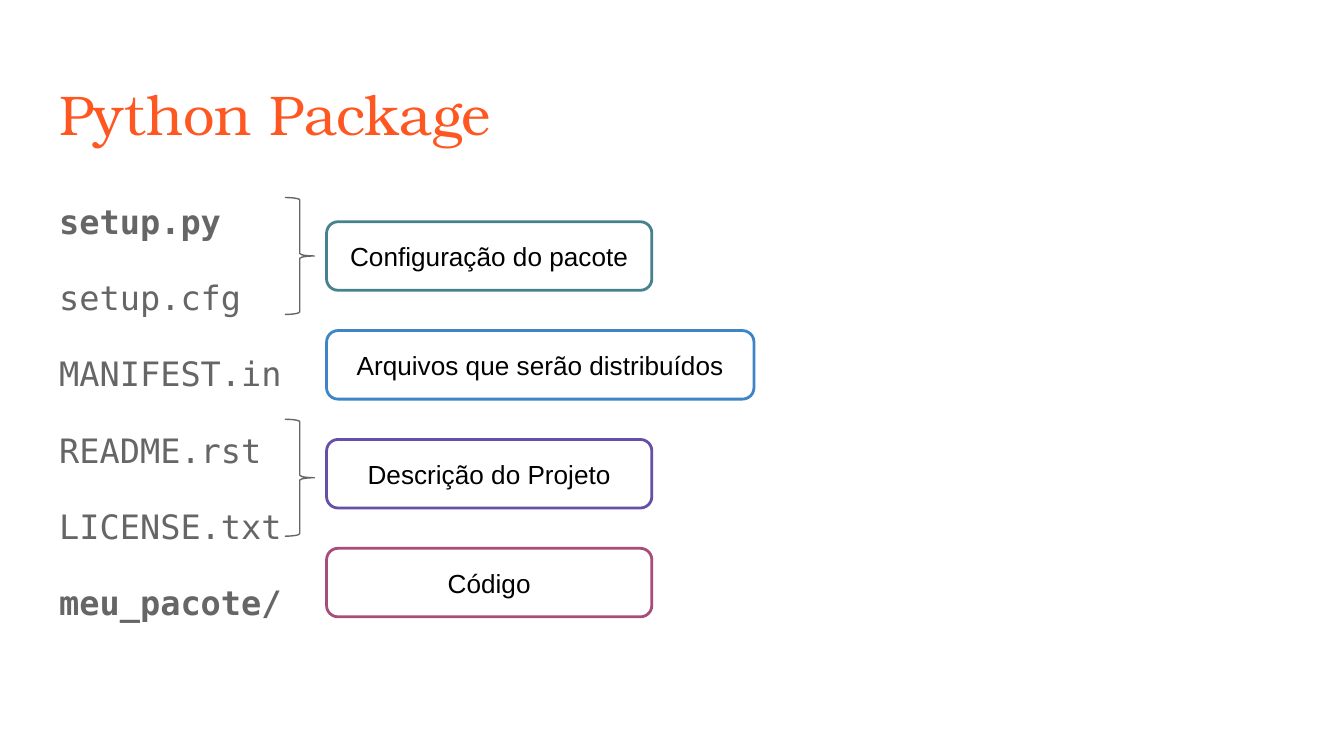
from dataclasses import dataclass

from lxml import etree
from pptx import Presentation
from pptx.dml.color import RGBColor
from pptx.enum.shapes import MSO_SHAPE
from pptx.enum.text import MSO_ANCHOR, MSO_AUTO_SIZE, PP_ALIGN
from pptx.oxml.ns import qn
from pptx.util import Inches, Pt

ROUNDED, BRACE = MSO_SHAPE.ROUNDED_RECTANGLE, MSO_SHAPE.RIGHT_BRACE
TOP, MIDDLE = MSO_ANCHOR.TOP, MSO_ANCHOR.MIDDLE
LEFT, CENTER = PP_ALIGN.LEFT, PP_ALIGN.CENTER
NO_AUTOFIT = MSO_AUTO_SIZE.NONE

ORANGE, GRAY, BLACK = "FF5722", "666666", "000000"
SERIF, MONO, SANS = "TeX Gyre Bonum", "DejaVu Sans Mono", "Arial"
SLIDE_WIDTH = 10
LABEL_LEFT, LABEL_TOP, LABEL_STEP, LABEL_HEIGHT = 2.43, 1.65, 0.81, 0.51


@dataclass
class FileEntry:
    name: str
    bold: bool = False


@dataclass
class Label:
    text: str
    color: str
    width: float = 2.42


FILES = [
    FileEntry("setup.py", True),
    FileEntry("setup.cfg"),
    FileEntry("MANIFEST.in"),
    FileEntry("README.rst"),
    FileEntry("LICENSE.txt"),
    FileEntry("meu_pacote/", True),
]
LABELS = [
    Label("Configuração do pacote", "45818E"),
    Label("Arquivos que serão distribuídos", "3D85C6", 3.18),
    Label("Descrição do Projeto", "674EA7"),
    Label("Código", "A64D79"),
]
BRACE_TOPS = [1.47, 3.12]


def rgb(color: str) -> RGBColor:
    return RGBColor.from_string(color)


def place(shape, left: float, top: float, width: float, height: float) -> None:
    shape.left, shape.top = Inches(left), Inches(top)
    shape.width, shape.height = Inches(width), Inches(height)


def set_frame(frame, anchor) -> None:
    frame.word_wrap = True
    frame.auto_size = NO_AUTOFIT
    frame.vertical_anchor = anchor
    frame.margin_left = frame.margin_right = Inches(0.1)
    frame.margin_top = frame.margin_bottom = Inches(0.1)


def add_run(paragraph, text: str, font: str, size: float, color: str,
            bold: bool = False) -> None:
    run = paragraph.add_run()
    run.text = text
    run.font.name, run.font.size, run.font.bold = font, Pt(size), bold
    run.font.color.rgb = rgb(color)


def remove_bullet(paragraph) -> None:
    properties = paragraph._p.get_or_add_pPr()
    properties.set("marL", "0")
    properties.set("indent", "0")
    etree.SubElement(properties, qn("a:buNone"))


def add_outline(slide, preset, left: float, top: float, width: float,
                height: float, color: str, weight: float):
    shape = slide.shapes.add_shape(
        preset, Inches(left), Inches(top), Inches(width), Inches(height))
    shape.shadow.inherit = False
    shape.fill.background()
    shape.line.color.rgb = rgb(color)
    shape.line.width = Pt(weight)
    return shape


def add_label(slide, label: Label, row: int) -> None:
    box = add_outline(slide, ROUNDED, LABEL_LEFT, LABEL_TOP + row * LABEL_STEP,
                      label.width, LABEL_HEIGHT, label.color, 1.5)
    set_frame(box.text_frame, MIDDLE)
    paragraph = box.text_frame.paragraphs[0]
    paragraph.alignment = CENTER
    add_run(paragraph, label.text, SANS, 14, BLACK)


def add_files(body, files: list[FileEntry]) -> None:
    frame = body.text_frame
    set_frame(frame, TOP)
    for index, entry in enumerate(files):
        paragraph = frame.add_paragraph() if index else frame.paragraphs[0]
        paragraph.alignment = LEFT
        paragraph.line_spacing = 1.15
        paragraph.space_before, paragraph.space_after = Pt(0), Pt(16)
        remove_bullet(paragraph)
        add_run(paragraph, entry.name, MONO, 18, GRAY, entry.bold)


# Widescreen slide, 16:9
presentation = Presentation()
presentation.slide_width = Inches(SLIDE_WIDTH)
presentation.slide_height = Inches(SLIDE_WIDTH * 9 / 16)
slide = presentation.slides.add_slide(presentation.slide_layouts[1])

# Title
title = slide.shapes.title
place(title, 0.34, 0.49, 9.32, 0.63)
set_frame(title.text_frame, TOP)
heading = title.text_frame.paragraphs[0]
heading.alignment = LEFT
add_run(heading, "Python Package", SERIF, 30, ORANGE)

# Package files
file_list = slide.placeholders[1]
place(file_list, 0.34, 1.35, 2, 3.47)
add_files(file_list, FILES)

# Purpose of each file group
for row, label in enumerate(LABELS):
    add_label(slide, label, row)

# Braces joining paired files
for brace_top in BRACE_TOPS:
    add_outline(slide, BRACE, 2.12, brace_top, 0.22, 0.87, GRAY, 0.75)

presentation.save("out.pptx")
